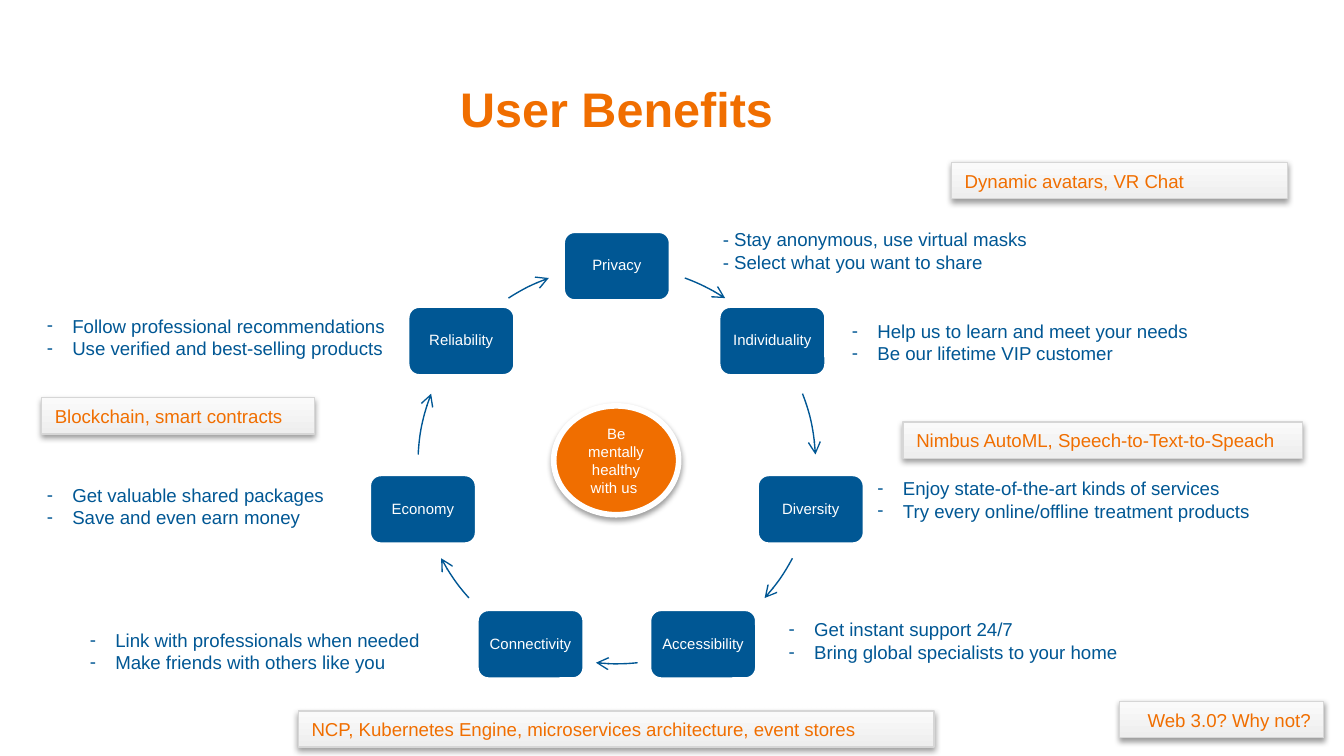
import math

import lxml.etree
import pptx
import pptx.dml.color
import pptx.enum.shapes
import pptx.enum.text
import pptx.oxml.ns
import pptx.util

PX = 9144
BLUE, ORANGE, WHITE = "005794", "F06E00", "FFFFFF"
SHAPE = pptx.enum.shapes.MSO_SHAPE
ALIGN = pptx.enum.text.PP_ALIGN
ANCHOR = pptx.enum.text.MSO_ANCHOR


def px(n):
    return pptx.util.Emu(round(n * PX))


def color(value):
    return pptx.dml.color.RGBColor.from_string(value)


def add_xml(parent, tag, **attrs):
    el = lxml.etree.SubElement(parent, pptx.oxml.ns.qn(tag))
    for name, value in attrs.items():
        el.set(name, str(value))
    return el


def write(sp, lines, size=10, fill=BLUE, bold=False, align=ALIGN.LEFT,
          anchor=ANCHOR.TOP, inset=None, spacing=None, bullet=None):
    tf = sp.text_frame
    tf.word_wrap = True
    tf.vertical_anchor = anchor
    if inset is not None:
        tf.margin_left = tf.margin_right = px(inset)
        tf.margin_top = tf.margin_bottom = px(inset)
    for i, line in enumerate(lines):
        p = tf.paragraphs[0] if i == 0 else tf.add_paragraph()
        p.alignment = align
        if spacing:
            p.line_spacing = spacing
        if bullet:
            pPr = p._p.get_or_add_pPr()
            pPr.set("marL", str(px(19)))
            pPr.set("indent", str(-px(19)))
            add_xml(pPr, "a:buFont", typeface="Arial")
            add_xml(pPr, "a:buChar", char=bullet)
        r = p.add_run()
        r.text = line
        r.font.name = "Arial"
        r.font.size = pptx.util.Pt(size)
        r.font.bold = bold
        r.font.color.rgb = color(fill)


class Canvas:
    """Holds the style and the current slide."""

    def __init__(self, slide):
        self.s = slide

    def shape(self, kind, x, y, w, h, line, width):
        sp = self.s.shapes.add_shape(kind, px(x), px(y), px(w), px(h))
        sp.shadow.inherit = False
        sp.line.color.rgb = color(line)
        sp.line.width = pptx.util.Pt(width)
        return sp

    def text(self, x, y, w, h, lines, **fmt):
        sp = self.s.shapes.add_textbox(px(x), px(y), px(w), px(h))
        write(sp, lines, **fmt)

    def drop_shadow(self, sp):
        effects = sp._element.spPr.find(pptx.oxml.ns.qn("a:effectLst"))
        shadow = add_xml(effects, "a:outerShdw", blurRad=39370, dist=20320,
                         dir=5400000, rotWithShape=0)
        add_xml(add_xml(shadow, "a:srgbClr", val="000000"), "a:alpha", val=38000)

    def node(self, cx, cy, label):
        sp = self.shape(SHAPE.ROUNDED_RECTANGLE, cx - 40, cy - 26, 80, 52, WHITE, 2)
        sp.fill.solid()
        sp.fill.fore_color.rgb = color(BLUE)
        write(sp, [label], size=8, fill=WHITE, align=ALIGN.CENTER,
              anchor=ANCHOR.MIDDLE, inset=3, spacing=0.9)

    def arc_arrow(self, cx, cy, radius, start, end):
        sp = self.shape(SHAPE.ARC, cx - radius, cy - radius,
                        2 * radius, 2 * radius, BLUE, 0.75)
        sp.fill.background()
        for i, angle in enumerate((start, end)):
            sp.adjustments[i] = (angle - 90) % 360 * 0.6
        add_xml(sp.line._get_or_add_ln(), "a:tailEnd", type="arrow")

    def hub(self, x, y, w, h, label):
        sp = self.shape(SHAPE.OVAL, x, y, w, h, WHITE, 3)
        sp.fill.solid()
        sp.fill.fore_color.rgb = color(ORANGE)
        self.drop_shadow(sp)
        write(sp, [label], size=8, fill=WHITE, align=ALIGN.CENTER, anchor=ANCHOR.MIDDLE)

    def tag(self, x, y, w, label, align=ALIGN.LEFT):
        sp = self.shape(SHAPE.RECTANGLE, x, y, w, 27, "D6D6D6", 0.75)
        sp.fill.gradient()
        sp.fill.gradient_angle = 90
        for stop, value in zip(sp.fill.gradient_stops, ("EEEEEE", "FAFAFA")):
            stop.color.rgb = color(value)
        self.drop_shadow(sp)
        write(sp, [label], fill=ORANGE, align=align, anchor=ANCHOR.MIDDLE)


def main():
    prs = pptx.Presentation()
    prs.slide_width = px(1000)
    prs.slide_height = prs.slide_width * 9 // 16
    c = Canvas(prs.slides.add_slide(prs.slide_layouts[6]))

    cx, cy, radius = 459, 346, 148
    benefits = [("Privacy", 20, 33), ("Individuality", 69, 87),
                ("Diversity", 118, 132), ("Accessibility", 174, 186),
                ("Connectivity", 228, 242), ("Economy", 273, 291),
                ("Reliability", 327, 340)]
    for i, (label, start, end) in enumerate(benefits):
        angle = 2 * math.pi * i / len(benefits)
        c.node(cx + radius * math.sin(angle), cy - radius * math.cos(angle), label)
        c.arc_arrow(cx, cy, radius, start, end)

    c.text(79, 64, 760, 81, ["User Benefits"], size=26, fill=ORANGE, bold=True,
           align=ALIGN.CENTER, inset=0, spacing=0.9)
    c.text(528, 165, 251, 44, ["- Stay anonymous, use virtual masks",
                               "- Select what you want to share"])
    c.hub(412, 302, 93, 81, "Be mentally healthy with us ")
    details = [
        (624, 233, 297, "Help us to learn and meet your needs",
         "Be our lifetime VIP customer"),
        (643, 350, 321, "Enjoy state-of-the-art kinds of services",
         "Try every online/offline treatment products"),
        (577, 455, 297, "Get instant support 24/7",
         "Bring global specialists to your home"),
        (57, 463, 297, "Link with professionals when needed",
         "Make friends with others like you"),
        (25, 229, 297, "Follow professional recommendations",
         "Use verified and best-selling products"),
        (25, 355, 297, "Get valuable shared packages", "Save and even earn money"),
    ]
    for x, y, w, *lines in details:
        c.text(x, y, w, 44, lines, bullet="-")

    c.tag(672, 314, 297, "Nimbus AutoML, Speech-to-Text-to-Speach")
    c.tag(222, 529, 473, "NCP, Kubernetes Engine, microservices architecture, event stores")
    c.tag(708, 121, 250, "Dynamic avatars, VR Chat")
    c.tag(833, 522, 152, "Web 3.0? Why not?", align=ALIGN.RIGHT)
    c.tag(31, 296, 203, "Blockchain, smart contracts")
    prs.save("out.pptx")


if __name__ == "__main__":
    main()
